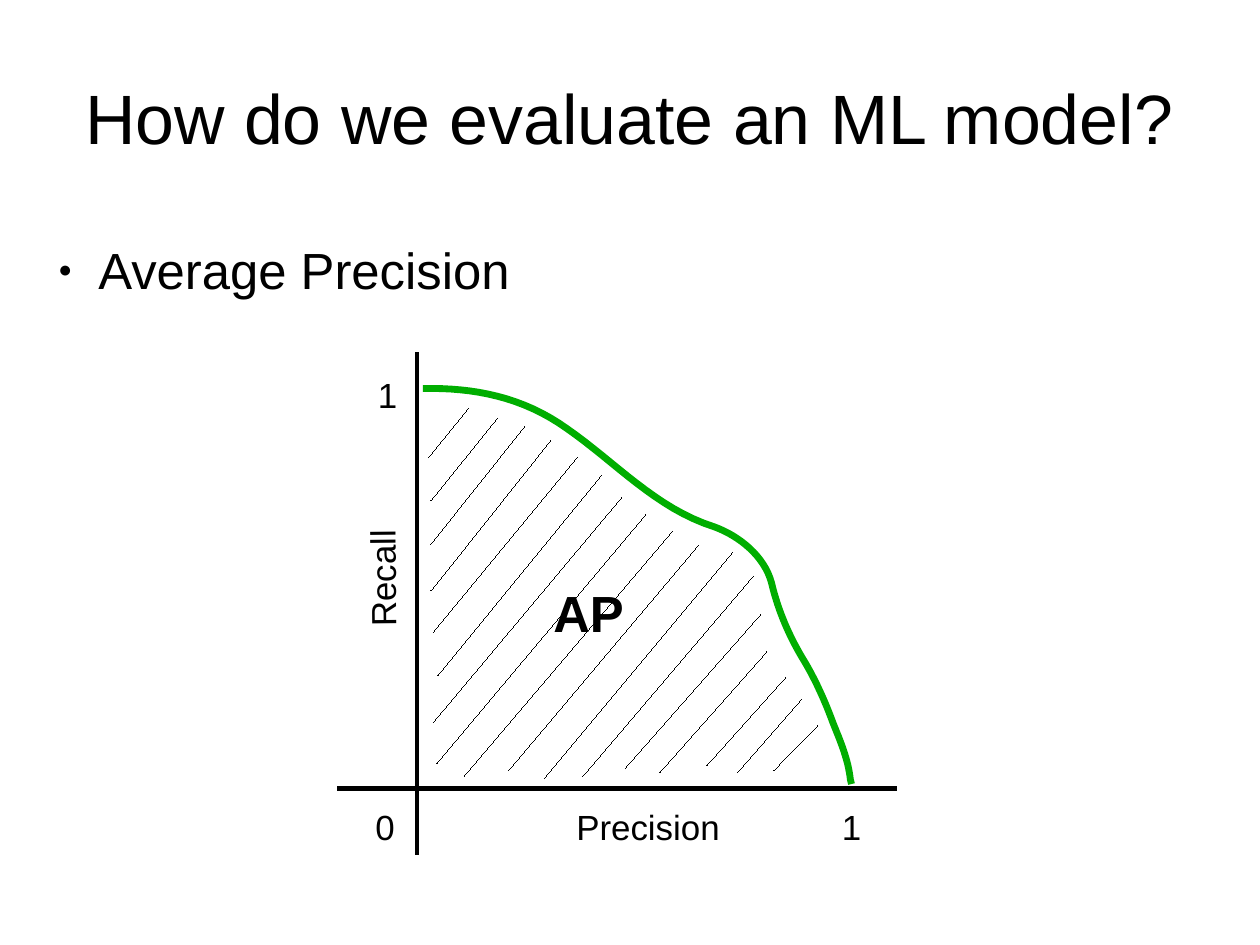
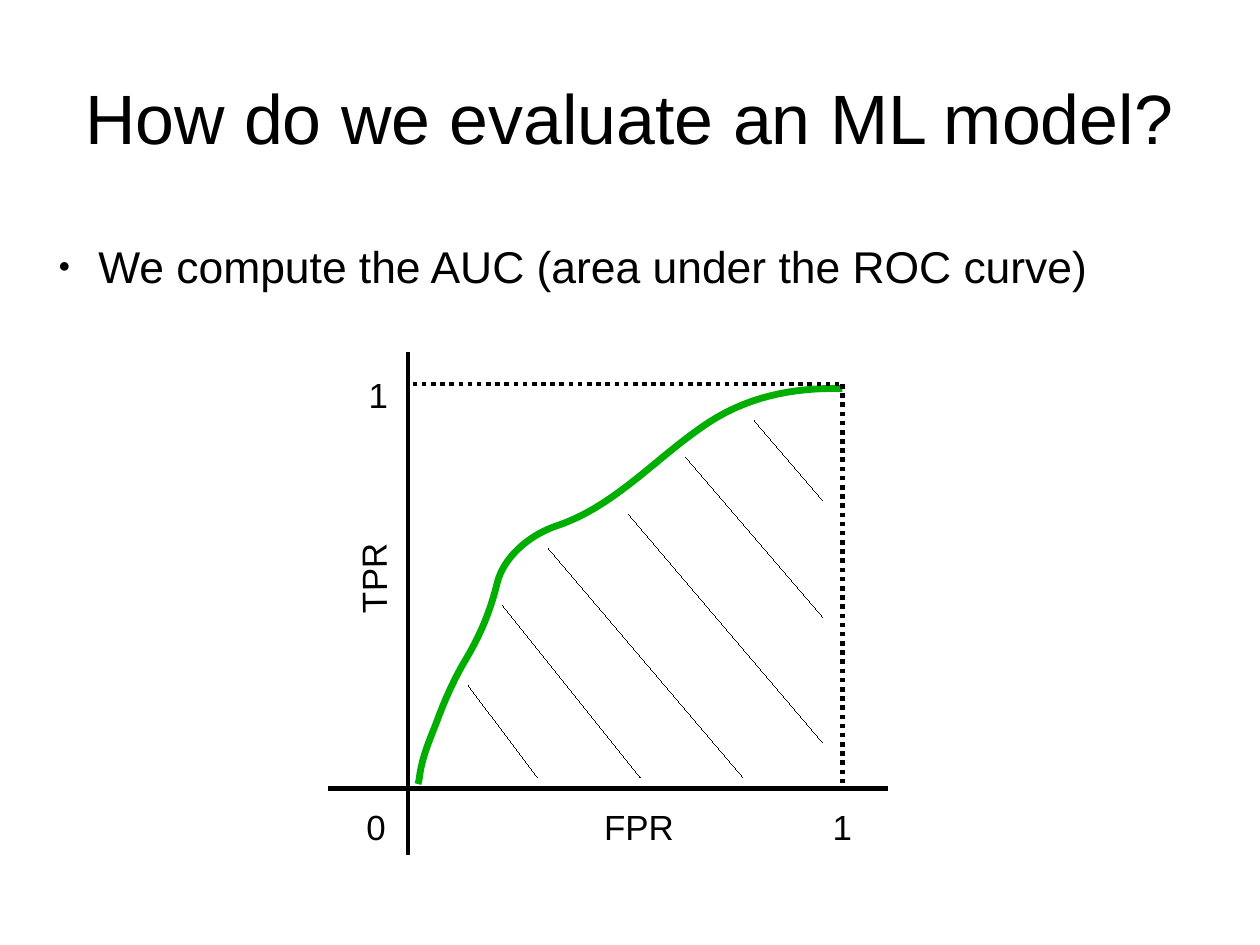
from lxml.etree import SubElement
from pptx import Presentation
from pptx.dml.color import RGBColor
from pptx.enum.dml import MSO_LINE
from pptx.enum.text import MSO_ANCHOR, PP_ALIGN
from pptx.oxml.ns import qn
from pptx.util import Inches, Pt

CM_PER_INCH = 2.54
SLIDE_CM = (28, 21)
COLORS = {"ink": "000000", "curve": "00AE00"}
FONT = "Arial"
TITLE = "How do we evaluate an ML model?"
AXIS_WIDTH, CURVE_WIDTH = 2.89, 4.31
BASELINE = 6.9

# Cubic Bezier points: horizontal distance from the curve's start, height on the slide.
CURVE = [
    (0, 3.4),
    (0.44, 3.39), (0.87, 3.47), (1.26, 3.75),
    (1.68, 4.04), (2.04, 4.45), (2.55, 4.61),
    (2.77, 4.69), (2.99, 4.87), (3.05, 5.1),
    (3.11, 5.35), (3.21, 5.58), (3.34, 5.79),
    (3.44, 5.96), (3.52, 6.14), (3.59, 6.33),
    (3.65, 6.48), (3.72, 6.64), (3.74, 6.82),
]
CURVE_END = (3.75, 6.86)

SLIDES = [
    {
        "bullet": "Average Precision", "bullet_size": 32, "bullet_width": 7.38,
        "x_label": "Precision", "y_label": "Recall", "area_label": "AP",
        "axis_x": 3.65, "curve_x": 3.7, "curve_scale": 1,
        "dotted": [],
        "hatch": [
            (4.1, 3.57, 3.75, 4), (4.35, 3.66, 3.77, 4.38), (4.59, 3.73, 3.77, 4.76),
            (4.82, 3.85, 3.77, 5.17), (5.05, 4, 3.79, 5.53), (5.26, 4.16, 3.83, 5.91),
            (5.44, 4.35, 3.79, 6.32), (5.65, 4.5, 3.82, 6.68), (5.88, 4.65, 4.06, 6.79),
            (6.11, 4.77, 4.45, 6.74), (6.41, 4.83, 4.76, 6.81), (6.59, 5.04, 5.1, 6.79),
            (6.65, 5.38, 5.47, 6.72), (6.71, 5.7, 5.77, 6.76), (6.87, 5.93, 6.18, 6.7),
            (7.01, 6.12, 6.45, 6.76), (7.15, 6.35, 6.77, 6.74),
        ],
    },
    {
        "bullet": "We compute the AUC (area under the ROC curve)",
        "bullet_size": 28, "bullet_width": 10.21,
        "x_label": "FPR", "y_label": "TPR", "area_label": None,
        "axis_x": 3.57, "curve_x": 7.37, "curve_scale": -0.99,
        "dotted": [(3.61, 3.36, 7.37, 3.36), (7.37, 3.36, 7.37, 6.86)],
        "hatch": [
            (4.1, 6, 4.7, 6.8), (4.4, 5.3, 5.6, 6.8), (4.8, 4.8, 6.5, 6.8),
            (5.5, 4.5, 7.2, 6.5), (6, 4, 7.2, 5.4), (6.6, 3.68, 7.2, 4.38),
        ],
    },
]


def rgb(name):
    return RGBColor.from_string(COLORS[name])


def add_text(s, box, text, size, align=PP_ALIGN.CENTER, inset=(0.1, 0.05), bold=False):
    sp = s.shapes.add_textbox(*map(Inches, box))
    tf = sp.text_frame
    tf.word_wrap = True
    tf.margin_left = tf.margin_right = Inches(inset[0])
    tf.margin_top = tf.margin_bottom = Inches(inset[1])
    p = tf.paragraphs[0]
    p.alignment = align
    r = p.add_run()
    r.text = text
    r.font.name, r.font.size, r.font.bold = FONT, Pt(size), bold
    r.font.color.rgb = rgb("ink")
    return sp


def add_title(s):
    sp = add_text(s, (0.55, 0.33, 9.92, 1.38), TITLE, 44, inset=(0, 0))
    sp.text_frame.vertical_anchor = MSO_ANCHOR.MIDDLE


def add_bullet(s, text, size, width):
    sp = add_text(s, (0.39, 2.09, width, 6), text, size, PP_ALIGN.LEFT, (0, 0))
    p = sp.text_frame.paragraphs[0]
    p.space_after = Pt(14.1)
    pPr = p._p.get_or_add_pPr()
    pPr.set("marL", str(Inches(0.47)))
    pPr.set("indent", str(Inches(-0.35)))
    SubElement(SubElement(pPr, qn("a:buClr")), qn("a:srgbClr"), val=COLORS["ink"])
    SubElement(pPr, qn("a:buSzPct"), val="45000")
    SubElement(pPr, qn("a:buFont"), typeface=FONT)
    SubElement(pPr, qn("a:buChar"), char="●")


def add_line(s, ends, width=0, dash=None):
    line = s.shapes.add_connector(1, *map(Inches, ends))
    line.line.color.rgb = rgb("ink")
    if dash:
        line.line.dash_style = dash
    spPr = line._element.spPr
    # The width setter drops a zero, so hairlines need the attribute itself.
    spPr.find(qn("a:ln")).set("w", str(Pt(width)))
    SubElement(spPr, qn("a:effectLst"))


def curve_points(steps=16):
    """Sample the Bezier segments of CURVE as a fine polyline."""
    points = [CURVE[0]]
    for i in range(0, len(CURVE) - 1, 3):
        segment = CURVE[i:i + 4]
        for t in (k / steps for k in range(1, steps + 1)):
            weights = ((1 - t) ** 3, 3 * t * (1 - t) ** 2, 3 * t * t * (1 - t), t ** 3)
            points.append(tuple(sum(w * pt[axis] for w, pt in zip(weights, segment))
                                for axis in (0, 1)))
    return points + [CURVE_END]


def add_curve(s, start_x, scale):
    points = [(Inches(start_x + scale * x), Inches(y)) for x, y in curve_points()]
    builder = s.shapes.build_freeform(*points[0])
    builder.add_line_segments(points[1:], close=False)
    sp = builder.convert_to_shape()
    sp.shadow.inherit = False
    sp.fill.background()
    sp.line.color.rgb = rgb("curve")
    sp.line.width = Pt(CURVE_WIDTH)


def add_plot(s, plot):
    x = plot["axis_x"]
    add_line(s, (x, 3.08, x, 7.48), AXIS_WIDTH)
    add_line(s, (x - 0.7, BASELINE, x + 4.2, BASELINE), AXIS_WIDTH)

    label_top = BASELINE + 0.1
    for dx, top, width, text in [
        (0.37, label_top, 3.3, plot["x_label"]),
        (3.5, label_top, 0.6, "1"),
        (-0.58, label_top, 0.6, "0"),
        (-0.56, 3.22, 0.6, "1"),
    ]:
        add_text(s, (x + dx, top, width, 0.44), text, 22)
    y_label = add_text(s, (x - 1.97, 4.84, 3.3, 0.44), plot["y_label"], 22)
    y_label.rotation = 269.4

    add_curve(s, plot["curve_x"], plot["curve_scale"])
    for ends in plot["dotted"]:
        add_line(s, ends, AXIS_WIDTH, MSO_LINE.ROUND_DOT)
    for ends in plot["hatch"]:
        add_line(s, ends)
    if plot["area_label"]:
        add_text(s, (4.33, 5.04, 1.64, 0.63), plot["area_label"], 32, bold=True)


def main():
    prs = Presentation()
    prs.slide_width, prs.slide_height = (Inches(cm / CM_PER_INCH) for cm in SLIDE_CM)
    for content in SLIDES:
        s = prs.slides.add_slide(prs.slide_layouts[6])
        add_title(s)
        add_bullet(s, content["bullet"], content["bullet_size"], content["bullet_width"])
        add_plot(s, content)
    prs.save("out.pptx")


if __name__ == "__main__":
    main()
